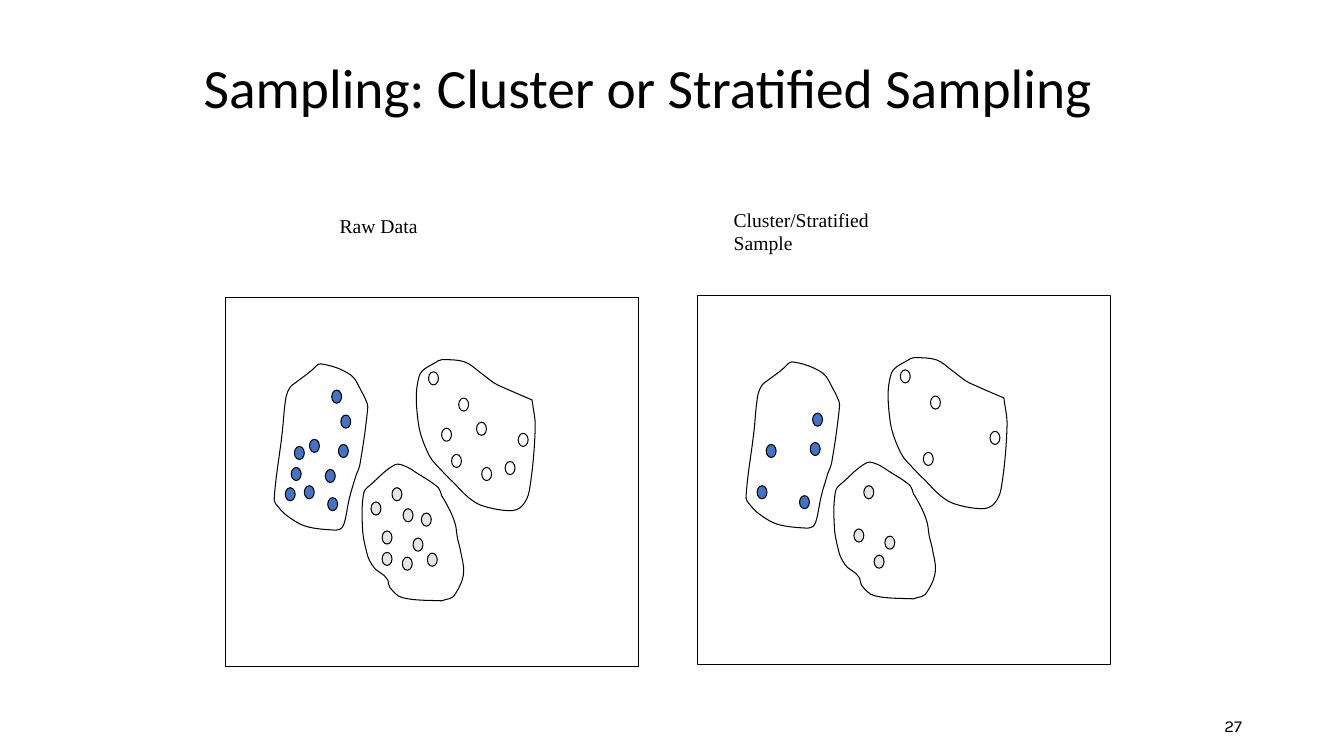
from math import hypot

from lxml.etree import SubElement
from pptx import Presentation
from pptx.dml.color import RGBColor
from pptx.enum.shapes import MSO_SHAPE as Shape
from pptx.enum.text import MSO_ANCHOR as Anchor, MSO_AUTO_SIZE as AutoSize, PP_ALIGN as Align
from pptx.oxml.ns import qn
from pptx.util import Cm, Pt

BLACK = RGBColor(0x00, 0x00, 0x00)
WHITE = RGBColor(0xFF, 0xFF, 0xFF)
GRAY = RGBColor(0xE7, 0xE6, 0xE6)
BLUE = RGBColor(0x44, 0x72, 0xC4)

PANEL_WIDTH, PANEL_HEIGHT = 10.41, 9.3
DOT_WIDTH, DOT_HEIGHT = 0.25, 0.33

# All cluster positions are centimetres from the panel's top left corner.
CLUSTERS = [
    {
        "color": WHITE,
        "outline": [
            (7.72, 2.59), (7.8, 3.28), (7.65, 4.88), (7.47, 5.26), (7.19, 5.38), (6.48, 5.26),
            (6.12, 5.05), (5.74, 4.67), (5.49, 4.42), (5.13, 3.99), (4.85, 3.15), (4.88, 1.98),
            (5.36, 1.6), (5.46, 1.57), (6.02, 1.63), (6.43, 1.91), (6.76, 2.16), (6.96, 2.26),
        ],
        "sampled": [(5.87, 2.54), (5.69, 3.96), (7.37, 3.43), (5.11, 1.88)],
        "unsampled": [(6.32, 3.15), (5.44, 3.3), (7.04, 4.14), (6.45, 4.29)],
    },
    {
        "color": GRAY,
        "outline": [
            (4.09, 7.14), (3.99, 7.01), (3.78, 6.86), (3.68, 6.73), (3.58, 6.53), (3.45, 5.87),
            (3.48, 4.93), (3.68, 4.7), (4.27, 4.22), (4.55, 4.27), (4.8, 4.42), (5.36, 4.8),
            (5.44, 5), (5.51, 5.11), (5.69, 5.46), (5.79, 5.74), (5.84, 6.07), (5.92, 6.4),
            (5.99, 6.99), (5.74, 7.54), (5.54, 7.62), (5.44, 7.65), (4.45, 7.57), (4.14, 7.32),
        ],
        "sampled": [(4.45, 6.55), (4.72, 6.07), (3.94, 5.89), (4.19, 4.8)],
        "unsampled": [(3.66, 5.16), (4.93, 5.44), (3.94, 6.43), (4.47, 5.33), (5.08, 6.45)],
    },
    {
        "color": BLUE,
        "outline": [
            (3.28, 4.5), (3.12, 5.05), (3.02, 5.56), (2.97, 5.74), (2.92, 5.82), (2.77, 5.87),
            (2.01, 5.77), (1.55, 5.51), (1.32, 5.28), (1.22, 5.11), (1.42, 3.45), (1.52, 2.51),
            (1.63, 2.26), (1.75, 2.16), (2.06, 1.93), (2.18, 1.83), (2.39, 1.68), (3.15, 1.96),
            (3.43, 2.39), (3.53, 2.59), (3.58, 2.77), (3.38, 4.22),
        ],
        "sampled": [(1.5, 4.8), (1.73, 3.76), (2.57, 5.05), (2.84, 3.71), (2.9, 2.97)],
        "unsampled": [(1.98, 4.75), (1.65, 4.29), (2.51, 4.34), (2.11, 3.58), (2.67, 2.34)],
    },
]


def curve_handle(origin, tail, tip, reach):
    """Return the point at a signed reach from origin in the direction tail to tip."""
    length = hypot(tip[0] - tail[0], tip[1] - tail[1])
    return tuple(origin[i] + reach * (tip[i] - tail[i]) / length for i in (0, 1))


def round_outline(shape, anchors):
    """Turn the straight sides into curves, leaving a corner at the first anchor."""
    left = min(x for x, _ in anchors)
    top = min(y for _, y in anchors)
    closed = [anchors[0], *anchors, anchors[0], anchors[0]]
    sides = list(shape.element.iter(qn("a:lnTo")))
    for side, before, start, end, after in zip(sides, closed, closed[1:], closed[2:], closed[3:]):
        reach = hypot(end[0] - start[0], end[1] - start[1]) / 3
        leaving = curve_handle(start, before, end, reach)
        arriving = curve_handle(end, start, after, -reach)
        side.tag = qn("a:cubicBezTo")
        side.clear()
        for x, y in (leaving, arriving, end):
            SubElement(side, qn("a:pt"), x=str(Cm(x - left)), y=str(Cm(y - top)))


def style_shape(shape, fill=None):
    shape.shadow.inherit = False
    if fill is None:
        shape.fill.background()
    else:
        shape.fill.solid()
        shape.fill.fore_color.rgb = fill
    shape.line.color.rgb = BLACK
    shape.line.width = Pt(0.75)


def style_paragraph(paragraph, font_name, size):
    paragraph.font.name = font_name
    paragraph.font.size = Pt(size)
    paragraph.font.color.rgb = BLACK


def add_title(slide, left, top, width, height, text):
    title = slide.shapes.title
    title.left, title.top, title.width, title.height = Cm(left), Cm(top), Cm(width), Cm(height)
    frame = title.text_frame
    frame.text = text
    frame.auto_size = AutoSize.NONE
    frame.vertical_anchor = Anchor.BOTTOM
    paragraph = frame.paragraphs[0]
    paragraph.alignment = Align.LEFT
    paragraph.line_spacing = 0.9
    style_paragraph(paragraph, "Calibri", 39.6)


def add_text(slide, left, top, width, height, text, font_name, size, wrap=True):
    frame = slide.shapes.add_textbox(Cm(left), Cm(top), Cm(width), Cm(height)).text_frame
    frame.text = text
    frame.word_wrap = wrap
    style_paragraph(frame.paragraphs[0], font_name, size)
    return frame


def add_cluster(group, left, top, cluster, only_sampled):
    dots = cluster["sampled"] + ([] if only_sampled else cluster["unsampled"])
    for x, y in dots:
        dot = group.shapes.add_shape(Shape.FLOWCHART_CONNECTOR, Cm(left + x), Cm(top + y),
                                     Cm(DOT_WIDTH), Cm(DOT_HEIGHT))
        style_shape(dot, cluster["color"])

    anchors = cluster["outline"]
    points = [(Cm(left + x), Cm(top + y)) for x, y in anchors]
    builder = group.shapes.build_freeform(*points[0])
    builder.add_line_segments(points[1:] + points[:1], close=True)
    outline = builder.convert_to_shape()
    round_outline(outline, anchors)
    style_shape(outline)


def add_panel(slide, left, top, only_sampled):
    group = slide.shapes.add_group_shape()
    frame = group.shapes.add_shape(Shape.RECTANGLE, Cm(left), Cm(top),
                                   Cm(PANEL_WIDTH), Cm(PANEL_HEIGHT))
    style_shape(frame)
    for cluster in CLUSTERS:
        add_cluster(group, left, top, cluster, only_sampled)


def add_slide_number(slide, left, top, width, height, number):
    frame = add_text(slide, left, top, width, height, number, "Karla", 12)
    frame.vertical_anchor = Anchor.BOTTOM
    frame.paragraphs[0].alignment = Align.RIGHT


def main():
    presentation = Presentation()
    presentation.slide_width, presentation.slide_height = Cm(33.87), Cm(19.05)
    slide = presentation.slides.add_slide(presentation.slide_layouts[5])

    add_title(slide, 4.88, 0.83, 24.13, 2.34, "Sampling: Cluster or Stratified Sampling")
    add_panel(slide, 5.69, 7.49, only_sampled=False)
    add_panel(slide, 17.58, 7.44, only_sampled=True)
    add_text(slide, 8.31, 5.26, 2.59, 0.86, "Raw Data", "Times New Roman", 14, wrap=False)
    add_text(slide, 18.24, 5.11, 5.2, 0.86, "Cluster/Stratified Sample", "Times New Roman", 14)
    add_slide_number(slide, 23.93, 17.65, 7.62, 1.02, "27")

    presentation.save("out.pptx")


if __name__ == "__main__":
    main()
